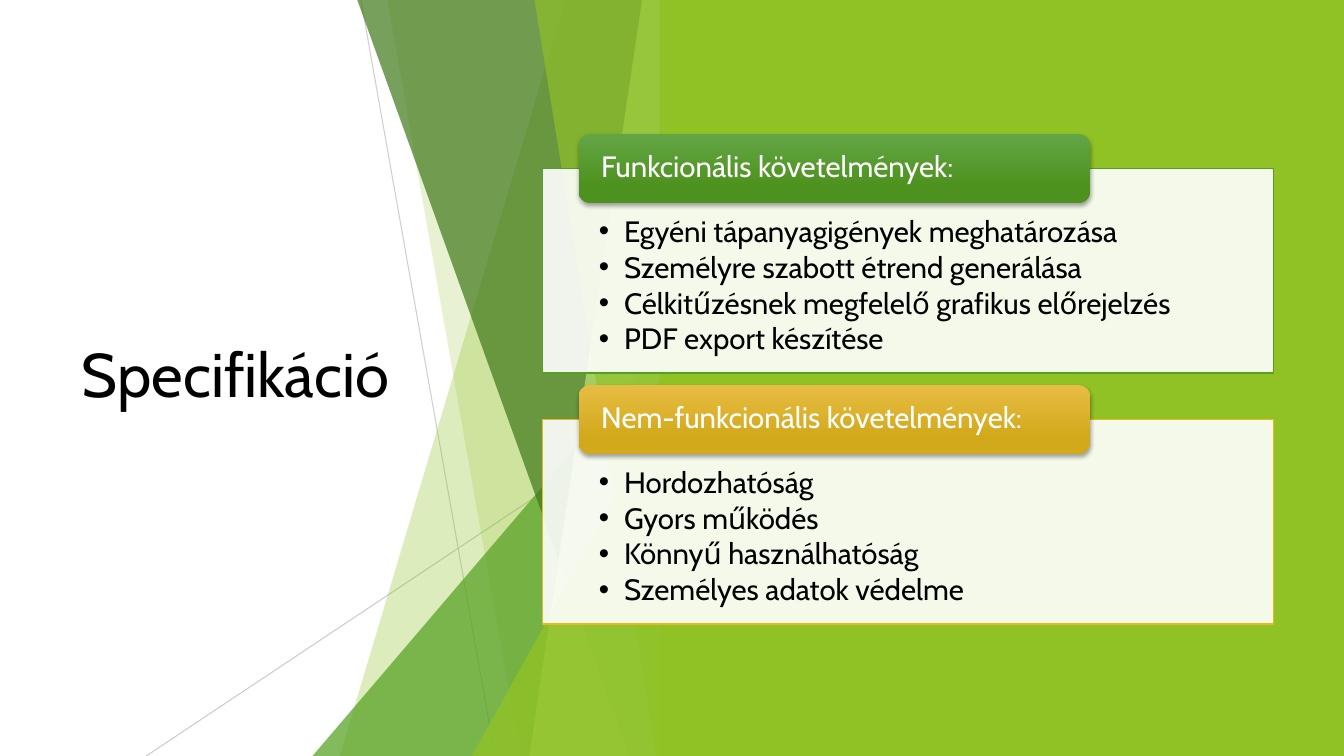
from dataclasses import dataclass

from lxml.etree import SubElement
from pptx import Presentation
from pptx.dml.color import RGBColor
from pptx.enum.shapes import MSO_CONNECTOR as Connector, MSO_SHAPE as Preset
from pptx.enum.text import MSO_ANCHOR as Anchor, MSO_AUTO_SIZE as AutoSize, PP_ALIGN as Align
from pptx.oxml.ns import qn
from pptx.util import Inches, Pt


@dataclass(frozen=True)
class Theme:
    font: str = "Cabin"
    title_size: int = 44
    text_size: int = 21
    ink: str = "000000"
    paper: str = "FFFFFF"
    ray: str = "BFBFBF"
    lime: str = "90C226"
    pale_lime: str = "C0E474"
    green: str = "54A021"
    dark_green: str = "3F7819"
    green_fade: tuple = ("63A545", "4D921E")
    gold: str = "E6B91E"
    gold_fade: tuple = ("E7BC43", "D2A91B")


WIDTH, HEIGHT = 13.33, 7.5
FACET_TOP, FACET_RIGHT = -0.01, 6.66
PANEL_LEFT, PANEL_WIDTH, PANEL_HEIGHT = 5.38, 7.25, 2.03
PANEL_TOP, PANEL_STEP = 1.67, 2.49
TAB_LEFT, TAB_WIDTH, TAB_HEIGHT = 5.74, 5.07, 0.68


class SlideBuilder:
    def __init__(self, slide, theme):
        self.slide, self.theme = slide, theme
        self.shapes = slide.shapes

    def paint(self, fill, colour, opacity=100):
        fill.solid()
        fill.fore_color.rgb = RGBColor.from_string(colour)
        if opacity < 100:
            for value in fill._xPr.iter(qn("a:srgbClr")):
                SubElement(value, qn("a:alpha"), val=str(opacity * 1000))

    def plain(self, shape, colour, opacity=100):
        shape.shadow.inherit = False
        shape.line.fill.background()
        self.paint(shape.fill, colour, opacity)

    def place(self, shape, left, top, width, height):
        shape.left, shape.top = Inches(left), Inches(top)
        shape.width, shape.height = Inches(width), Inches(height)

    def frame(self, shape, anchor, left=0.1, top=0.05, right=0.1, bottom=0.05):
        frame = shape.text_frame
        frame.word_wrap, frame.auto_size = True, AutoSize.NONE
        frame.vertical_anchor = anchor
        frame.margin_left, frame.margin_top = Inches(left), Inches(top)
        frame.margin_right, frame.margin_bottom = Inches(right), Inches(bottom)
        return frame

    def style(self, paragraph, size, colour):
        paragraph.alignment = Align.LEFT
        paragraph.line_spacing, paragraph.space_before = 0.9, Pt(0)
        paragraph.font.name, paragraph.font.size = self.theme.font, Pt(size)
        paragraph.font.color.rgb = RGBColor.from_string(colour)

    def title(self, text):
        heading = self.shapes.title
        self.place(heading, 0.71, 1.51, 3.88, 4.48)
        frame = self.frame(heading, Anchor.MIDDLE)
        frame.text = text
        self.style(frame.paragraphs[0], self.theme.title_size, self.theme.ink)

    def ray(self, start, end, opacity):
        ray = self.shapes.add_connector(Connector.STRAIGHT, *map(Inches, start + end))
        ray.line.width = Pt(0.75)
        self.paint(ray.line.fill, self.theme.ray, opacity)
        SubElement(ray.element.spPr, qn("a:effectLst"))

    def facet(self, top_x, bottom_x, colour, opacity):
        outline = self.shapes.build_freeform(Inches(top_x), Inches(FACET_TOP))
        corners = [(FACET_RIGHT, FACET_TOP), (FACET_RIGHT, HEIGHT), (bottom_x, HEIGHT)]
        outline.add_line_segments([(Inches(x), Inches(y)) for x, y in corners], close=True)
        self.plain(outline.convert_to_shape(), colour, opacity)

    def wedge(self, left, top, colour, opacity):
        wedge = self.shapes.add_shape(
            Preset.ISOSCELES_TRIANGLE, Inches(left), Inches(top),
            Inches(FACET_RIGHT - left), Inches(HEIGHT - top))
        wedge.adjustments[0] = 1
        self.plain(wedge, colour, opacity)

    def backdrop(self, left, colour):
        backdrop = self.shapes.add_shape(
            Preset.RECTANGLE, Inches(left), 0, Inches(WIDTH - left), Inches(HEIGHT))
        self.plain(backdrop, colour)

    def panel(self, body, top, items, colour):
        self.shapes.element.append(body.element)
        self.place(body, PANEL_LEFT, top, PANEL_WIDTH, PANEL_HEIGHT)
        self.paint(body.fill, self.theme.paper, 90)
        self.paint(body.line.fill, colour)
        body.line.width = Pt(1)
        frame = self.frame(body, Anchor.TOP, 0.56, 0.48, 0.56, 0.16)
        frame.text = "\n".join(items)
        for item in frame.paragraphs:
            self.style(item, self.theme.text_size, self.theme.ink)
            item.space_after = Pt(3)
            properties = item._p.get_or_add_pPr()
            properties.set("marL", str(Inches(0.25)))
            properties.set("indent", str(Inches(-0.25)))
            bullet_font = SubElement(properties, qn("a:buFont"), typeface="Arial")
            bullet_font.addnext(SubElement(properties, qn("a:buChar"), char="•"))
            properties.append(properties.find(qn("a:defRPr")))

    def tab(self, top, text, fade):
        tab = self.shapes.add_shape(
            Preset.ROUNDED_RECTANGLE, Inches(TAB_LEFT), Inches(top),
            Inches(TAB_WIDTH), Inches(TAB_HEIGHT))
        tab.line.fill.background()
        tab.fill.gradient()
        tab.fill.gradient_angle = 270
        for stop, position, colour in zip(tab.fill.gradient_stops, (0, 0.78), fade):
            stop.position = position
            stop.color.rgb = RGBColor.from_string(colour)
        tab.shadow.inherit = False
        effects = tab.element.spPr.find(qn("a:effectLst"))
        shadow = SubElement(effects, qn("a:outerShdw"), blurRad=str(Pt(3)),
                            dist=str(Pt(2)), dir="5400000", rotWithShape="0")
        tint = SubElement(shadow, qn("a:srgbClr"), val=self.theme.ink)
        SubElement(tint, qn("a:alpha"), val="35000")
        frame = self.frame(tab, Anchor.MIDDLE, 0.19, 0, 0.19, 0)
        frame.text = text
        self.style(frame.paragraphs[0], self.theme.text_size, self.theme.paper)


def main():
    theme = Theme()
    deck = Presentation()
    deck.slide_width, deck.slide_height = Inches(WIDTH), Inches(HEIGHT)
    slide = deck.slides.add_slide(deck.slide_layouts[3])
    builder = SlideBuilder(slide, theme)

    builder.title("Specifikáció")
    builder.ray((3.58, 0), (4.91, 7.5), 75)
    builder.ray((6.66, 4.03), (1.45, 7.5), 80)
    builder.facet(5.61, 3.37, theme.lime, 30)
    builder.facet(3.84, 5.16, theme.lime, 20)
    builder.wedge(3.1, 3.33, theme.green, 72)
    builder.facet(3.54, 6.24, theme.dark_green, 70)
    builder.facet(6.37, 5.25, theme.pale_lime, 70)
    builder.facet(5.3, 6.51, theme.lime, 65)
    builder.wedge(4.68, 3.93, theme.lime, 80)
    builder.backdrop(6.54, theme.lime)

    requirements = [
        ("Funkcionális követelmények:", theme.green, theme.green_fade,
         ["Egyéni tápanyagigények meghatározása", "Személyre szabott étrend generálása",
          "Célkitűzésnek megfelelő grafikus előrejelzés", "PDF export készítése"]),
        ("Nem-funkcionális követelmények:", theme.gold, theme.gold_fade,
         ["Hordozhatóság", "Gyors működés", "Könnyű használhatóság",
          "Személyes adatok védelme"]),
    ]
    bodies = [slide.placeholders[1], slide.placeholders[2]]
    for row, (heading, colour, fade, items) in enumerate(requirements):
        top = PANEL_TOP + row * PANEL_STEP
        builder.panel(bodies[row], top, items, colour)
        builder.tab(top - TAB_HEIGHT / 2, heading, fade)

    deck.save("out.pptx")


if __name__ == "__main__":
    main()
